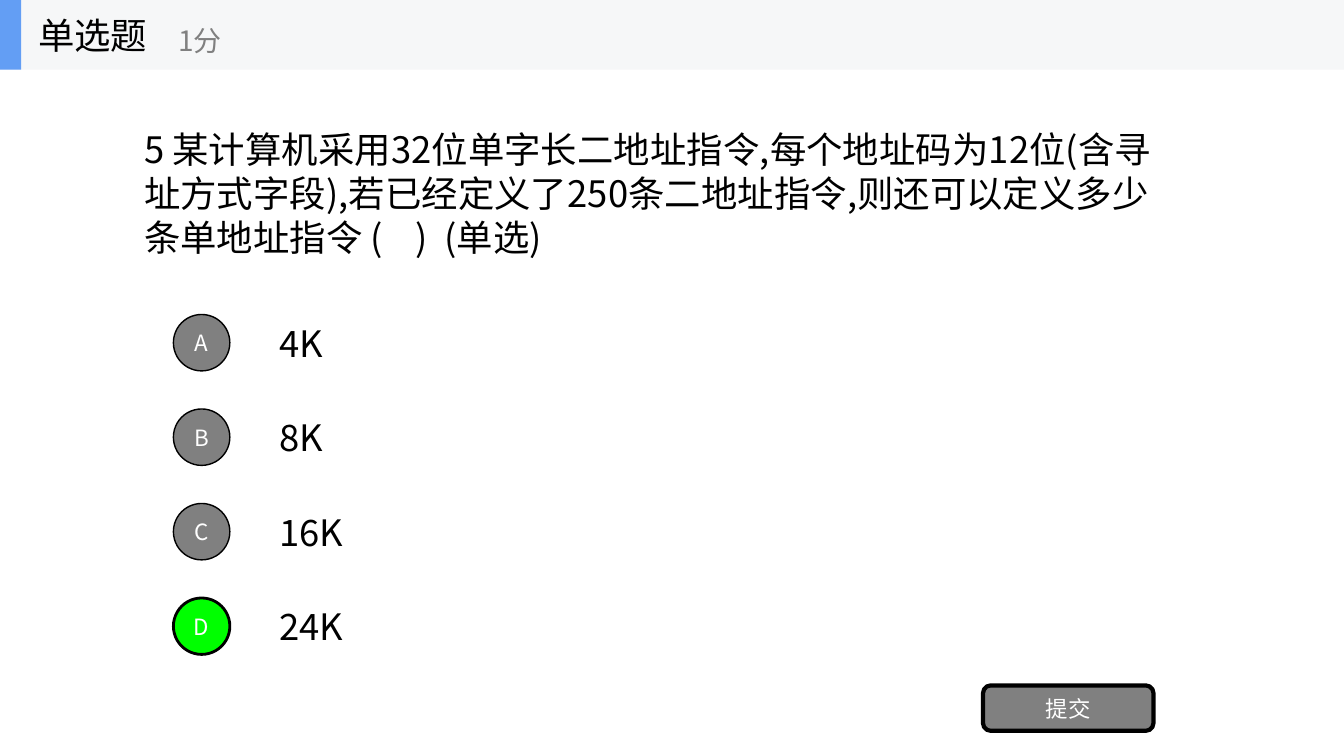
import pptx
import pptx.util
from pptx.dml.color import RGBColor
from pptx.enum.shapes import MSO_SHAPE
from pptx.enum.text import MSO_ANCHOR, PP_ALIGN

HEADING, POINTS, SUBMIT = "单选题", "1分", "提交"
QUESTION = ("5 某计算机采用32位单字长二地址指令,每个地址码为12位(含寻址方式字段),"
            "若已经定义了250条二地址指令,则还可以定义多少条单地址指令 (    )  (单选)")
# letter, answer, answer box width, correct
OPTIONS = [
    ("A", "4K", 0.75, False),
    ("B", "8K", 0.75, False),
    ("C", "16K", 0.96, False),
    ("D", "24K", 0.96, True),
]
COLORS = {"black": "000000", "white": "FFFFFF", "grey": "808080",
          "correct": "00FF00", "bar": "F6F7F8", "accent": "639EF4"}
FONT = "Noto Sans CJK SC"
WIDTH, HEIGHT, BAR_HEIGHT = 13.33, 7.5, 0.69
CIRCLE_LEFT, CIRCLE_SIZE, ANSWER_LEFT, ANSWER_HEIGHT = 1.72, 0.56, 2.67, 0.53
FIRST_ROW, ROW_PITCH = 3.4, HEIGHT / 8

prs = pptx.Presentation()
prs.slide_width = pptx.util.Inches(WIDTH)
prs.slide_height = pptx.util.Inches(HEIGHT)
slide = prs.slides.add_slide(prs.slide_layouts[6])


def inches(box):
    return [pptx.util.Inches(v) for v in box]


def rgb(name):
    return RGBColor.from_string(COLORS[name])


def write(sp, text, size=26, color="black", align=PP_ALIGN.LEFT, wrap=True):
    tf = sp.text_frame
    tf.word_wrap = wrap
    tf.vertical_anchor = MSO_ANCHOR.MIDDLE
    p = tf.paragraphs[0]
    p.alignment = align
    r = p.add_run()
    r.text = text
    r.font.size = pptx.util.Pt(size)
    r.font.name = FONT
    r.font.color.rgb = rgb(color)
    ea = r.font._element.makeelement(pptx.oxml.ns.qn("a:ea"), {"typeface": FONT})
    r.font._element.append(ea)
    return tf


def add_text(box, text, **fmt):
    return write(slide.shapes.add_textbox(*inches(box)), text, **fmt)


def add_filled(kind, box, fill, line=0):
    sp = slide.shapes.add_shape(kind, *inches(box))
    sp.shadow.inherit = False
    sp.fill.solid()
    sp.fill.fore_color.rgb = rgb(fill)
    if line:
        sp.line.color.rgb = rgb("black")
        sp.line.width = pptx.util.Pt(line)
    else:
        sp.line.fill.background()
    return sp


def add_button(kind, box, text, fill, line):
    sp = add_filled(kind, box, fill, line)
    tf = write(sp, text, size=16, color="white", align=PP_ALIGN.CENTER, wrap=False)
    tf.margin_left = tf.margin_right = 0


# Tight fixed line pitch, with insets that keep the three lines centred
tf = add_text((1.33, 1.17, 10.52, 1.4), QUESTION)
tf.paragraphs[0].line_spacing = pptx.util.Pt(31.4)
tf.margin_top, tf.margin_right, tf.margin_bottom = inches((0.09, 0.2, 0.01))

for row, (letter, answer, width, correct) in enumerate(OPTIONS):
    middle = FIRST_ROW + row * ROW_PITCH
    add_text((ANSWER_LEFT, middle - ANSWER_HEIGHT / 2, width, ANSWER_HEIGHT), answer)
    add_button(MSO_SHAPE.OVAL,
               (CIRCLE_LEFT, middle - CIRCLE_SIZE / 2, CIRCLE_SIZE, CIRCLE_SIZE),
               letter, "correct" if correct else "grey", 2 if correct else 1)

add_button(MSO_SHAPE.ROUNDED_RECTANGLE, (9.75, 6.8, 1.69, 0.45), SUBMIT, "grey", 3)

add_filled(MSO_SHAPE.RECTANGLE, (0, 0, WIDTH, BAR_HEIGHT), "bar")
add_filled(MSO_SHAPE.RECTANGLE, (0, 0, 0.21, BAR_HEIGHT), "accent")
add_text((0.28, 0, 2.08, BAR_HEIGHT), HEADING, wrap=False)
add_text((1.67, 0.12, 2.5, 0.56), POINTS, size=20, color="grey", wrap=False)

prs.save("out.pptx")
